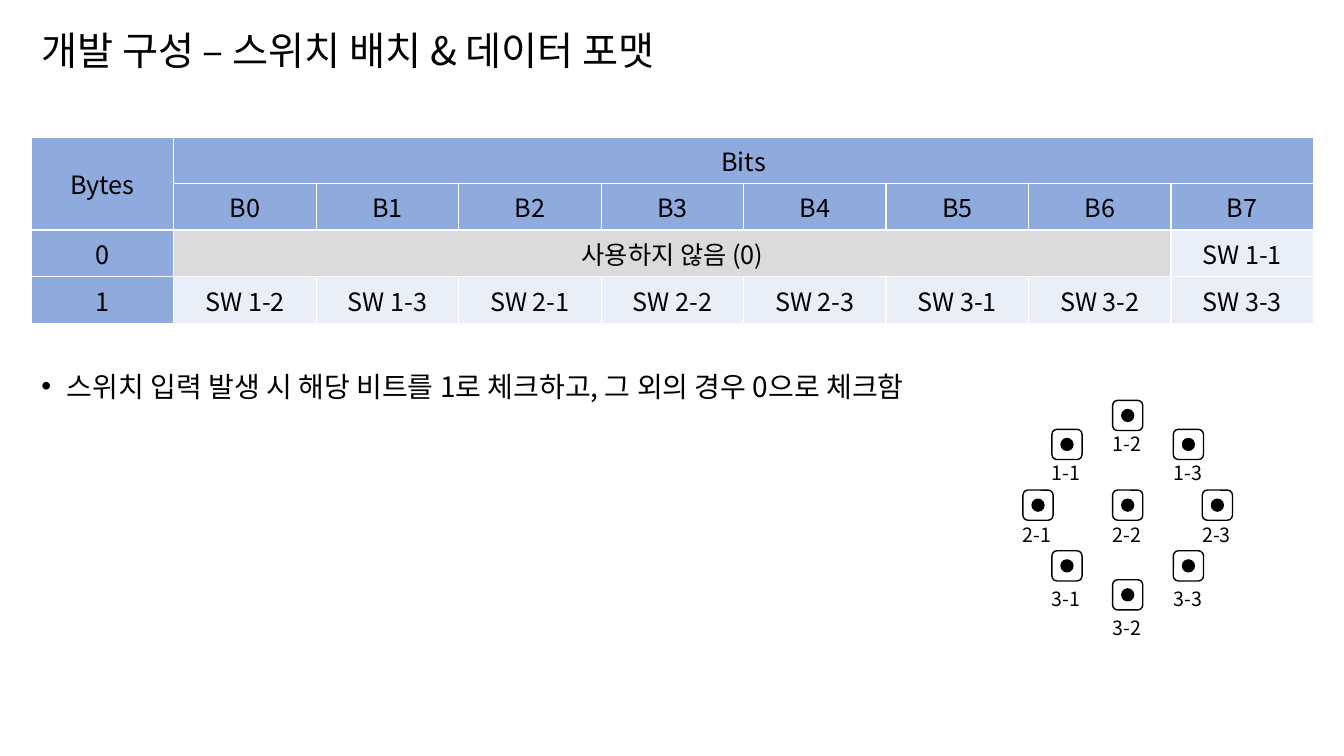
from lxml import etree
from pptx import Presentation
from pptx import util as u
from pptx.dml.color import RGBColor
from pptx.enum import shapes, text
from pptx.oxml.ns import qn

FONT = "Noto Sans CJK KR"
BLACK, WHITE = "000000", "FFFFFF"
HEADER, UNUSED, SWITCH = "8FAADC", "DBDBDB", "EAEFF7"
LEFT, WIDTH = 0.79, 32.31
BUTTON, DOT = 0.76, 0.3
CENTER_X, CENTER_Y = 28.42, 12.73
NEAR, FAR = 1.53, 2.26

# Switch name: horizontal and vertical offset from the middle switch
SWITCHES = {
    "1-1": (-NEAR, -NEAR), "1-2": (0, -FAR), "1-3": (NEAR, -NEAR),
    "2-1": (-FAR, 0), "2-2": (0, 0), "2-3": (FAR, 0),
    "3-1": (-NEAR, NEAR), "3-2": (0, FAR), "3-3": (NEAR, NEAR),
}
LABEL_DROP = {"1": 0.68, "2": 0.71, "3": 0.78}


def color(value):
    return RGBColor.from_string(value)


def box(left, top, width, height):
    return [u.Cm(length) for length in (left, top, width, height)]


def apply(target, values):
    for name, value in values.items():
        setattr(target, name, value)


def write(frame, content, size, **paragraph_format):
    frame.text = content
    paragraph = frame.paragraphs[0]
    apply(paragraph, paragraph_format)
    run = paragraph.runs[0]
    apply(run.font, {"size": u.Pt(size), "name": FONT})
    run.font.color.rgb = color(BLACK)
    east_asian = etree.SubElement(run.font._element, qn("a:ea"))
    east_asian.set("typeface", FONT)
    return paragraph


def fill_placeholder(shape, place, content, size, anchor, **paragraph_format):
    apply(shape, dict(zip(("left", "top", "width", "height"), box(*place))))
    apply(shape.text_frame, {"auto_size": text.MSO_AUTO_SIZE.NONE,
                             "word_wrap": True, "vertical_anchor": anchor})
    return write(shape.text_frame, content, size, line_spacing=0.9,
                 alignment=text.PP_ALIGN.LEFT, **paragraph_format)


def set_bullet(paragraph, indent):
    properties = paragraph._p.get_or_add_pPr()
    properties.set("marL", str(u.Cm(indent)))
    properties.set("indent", str(-u.Cm(indent)))
    etree.SubElement(properties, qn("a:buFont")).set("typeface", "Arial")
    etree.SubElement(properties, qn("a:buChar")).set("char", "•")


def style_cell(cell, fill):
    properties = cell._tc.get_or_add_tcPr()
    for side in ("lnL", "lnR", "lnT", "lnB"):
        line = etree.SubElement(properties, qn(f"a:{side}"), w=str(u.Pt(1)))
        solid = etree.SubElement(line, qn("a:solidFill"))
        etree.SubElement(solid, qn("a:srgbClr"), val=WHITE)
    cell.fill.solid()
    cell.fill.fore_color.rgb = color(fill)
    cell.vertical_anchor = text.MSO_ANCHOR.MIDDLE


def add_format_table(slide):
    names = [f"SW {name}" for name in SWITCHES]
    rows = [
        ["Bytes", "Bits"] + [""] * 7,
        [""] + [f"B{bit}" for bit in range(8)],
        ["0", "사용하지 않음 (0)"] + [""] * 6 + names[:1],
        ["1"] + names[1:],
    ]
    table = slide.shapes.add_table(4, 9, *box(LEFT, 3.45, WIDTH, 4.12)).table
    for column in table.columns:
        column.width = u.Cm(WIDTH / 9)
    for row, contents in enumerate(rows):
        for column, content in enumerate(contents):
            cell = table.cell(row, column)
            if row < 2 or column == 0:
                fill = HEADER
            else:
                fill = UNUSED if row == 2 and column < 8 else SWITCH
            style_cell(cell, fill)
            if content:
                write(cell.text_frame, content, 18,
                      alignment=text.PP_ALIGN.CENTER)
    # Merged headings and unused bits
    for first, last in (((0, 0), (1, 0)), ((0, 1), (0, 8)), ((2, 1), (2, 7))):
        table.cell(*first).merge(table.cell(*last))


def add_centered(group, kind, x, y, size, fill):
    shape = group.shapes.add_shape(
        kind, *box(x - size / 2, y - size / 2, size, size))
    shape.shadow.inherit = False
    shape.fill.solid()
    shape.fill.fore_color.rgb = color(fill)
    shape.line.color.rgb = color(BLACK)
    shape.line.width = u.Pt(1)


def add_switch(group, name, x, y):
    add_centered(group, shapes.MSO_SHAPE.ROUNDED_RECTANGLE, x, y, BUTTON, WHITE)
    add_centered(group, shapes.MSO_SHAPE.OVAL, x, y, DOT, BLACK)
    label_top = y - BUTTON / 2 + LABEL_DROP[name[0]]
    label = group.shapes.add_textbox(*box(x - 0.63, label_top, 1.27, 0.86))
    apply(label.text_frame, {"word_wrap": False,
                             "auto_size": text.MSO_AUTO_SIZE.SHAPE_TO_FIT_TEXT})
    write(label.text_frame, name, 14)


def main():
    presentation = Presentation()
    apply(presentation, {"slide_width": u.Cm(33.87), "slide_height": u.Cm(19.05)})
    slide = presentation.slides.add_slide(presentation.slide_layouts[1])

    # Title and note
    fill_placeholder(slide.shapes.title, (LEFT, 0.58, WIDTH, 1.52),
                     "개발 구성 – 스위치 배치 & 데이터 포맷", 28,
                     text.MSO_ANCHOR.MIDDLE)
    note = fill_placeholder(
        slide.placeholders[1], (LEFT, 9.27, WIDTH, 1.65),
        "스위치 입력 발생 시 해당 비트를 1로 체크하고, 그 외의 경우 0으로 체크함", 20,
        text.MSO_ANCHOR.TOP, space_before=u.Pt(10))
    set_bullet(note, 0.64)

    # Data format
    add_format_table(slide)

    # Switch layout
    group = slide.shapes.add_group_shape()
    for name, (dx, dy) in SWITCHES.items():
        add_switch(group, name, CENTER_X + dx, CENTER_Y + dy)

    presentation.save("out.pptx")


main()
